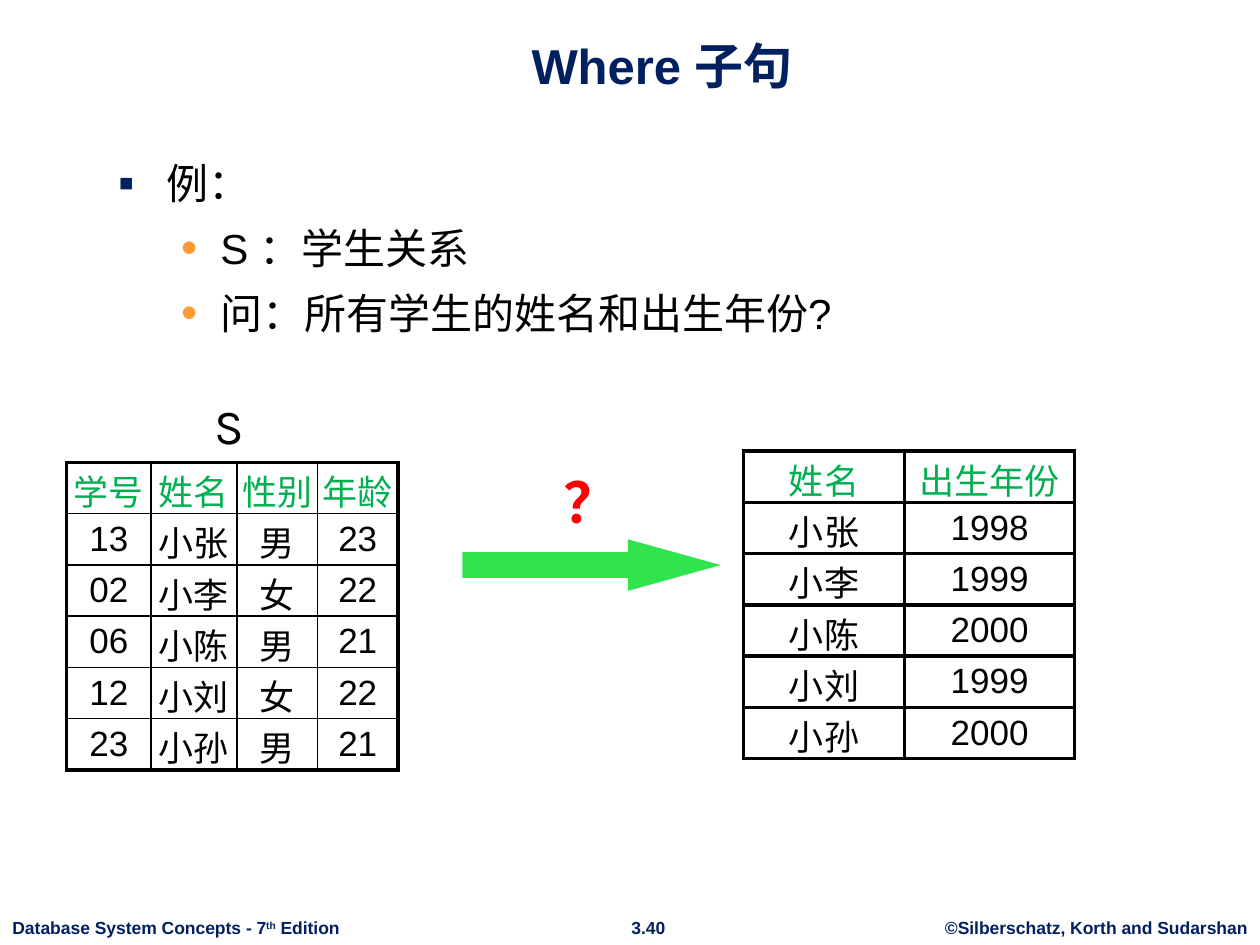
from lxml.etree import SubElement
from pptx import Presentation
from pptx.dml.color import RGBColor
from pptx.enum.shapes import MSO_SHAPE
from pptx.enum.text import MSO_ANCHOR, PP_ALIGN
from pptx.oxml.ns import qn
from pptx.util import Inches, Pt

NAVY = RGBColor(0x00, 0x20, 0x60)
ORANGE = RGBColor(0xFF, 0x99, 0x33)
BLACK = RGBColor(0, 0, 0)
WHITE = RGBColor(0xFF, 0xFF, 0xFF)
HEADER_GREEN = RGBColor(0x00, 0xB0, 0x50)
ARROW_GREEN = RGBColor(0x30, 0xE4, 0x4E)
RED = RGBColor(0xFF, 0, 0)

THIN, THICK = 1, 2.25
ROW_HEIGHT = 0.407

TITLE = "Where 子句"
OUTLINE = [
    (0, "例："),
    (1, "S ：学生关系"),
    (1, "问：所有学生的姓名和出生年份?"),
]
BULLETS = [
    ("▪", NAVY, 0.38, 0.38),
    ("•", ORANGE, 0.81, 0.31),
]
STUDENTS = [
    ("学号", "姓名", "性别", "年龄"),
    ("13", "小张", "男", "23"),
    ("02", "小李", "女", "22"),
    ("06", "小陈", "男", "21"),
    ("12", "小刘", "女", "22"),
    ("23", "小孙", "男", "21"),
]
BIRTH_YEARS = [
    ("姓名", "出生年份"),
    ("小张", "1998"),
    ("小李", "1999"),
    ("小陈", "2000"),
    ("小刘", "1999"),
    ("小孙", "2000"),
]
EDITION = ["Database System Concepts - 7", "th", " Edition"]
FOOTERS = [
    (7.4, 2.6, PP_ALIGN.CENTER, ["©Silberschatz, Korth and Sudarshan"]),
    (4.9, 0.49, PP_ALIGN.CENTER, ["3.40"]),
    (0, 2.81, PP_ALIGN.LEFT, EDITION),
]


def style(font, size, color, bold=False, name="Arial"):
    font.name, font.size, font.bold = name, Pt(size), bold
    font.color.rgb = color


def add_text(slide, box, pieces, size, color, bold=False, name="Arial",
             align=PP_ALIGN.LEFT, wrap=False, anchor=MSO_ANCHOR.TOP):
    frame = slide.shapes.add_textbox(*map(Inches, box)).text_frame
    frame.word_wrap = wrap
    frame.vertical_anchor = anchor
    paragraph = frame.paragraphs[0]
    paragraph.alignment = align
    for piece in pieces:
        run = paragraph.add_run()
        run.text = piece
        style(run.font, size, color, bold, name)
    return paragraph


def add_bullet(paragraph, symbol, color, margin, hanging, spaced):
    props = paragraph._p.get_or_add_pPr()
    props.set("marL", str(Inches(margin)))
    props.set("indent", str(-Inches(hanging)))
    if spaced:
        before = SubElement(props, qn("a:spcBef"))
        SubElement(before, qn("a:spcPct"), val="35000")
    bullet_color = SubElement(props, qn("a:buClr"))
    SubElement(bullet_color, qn("a:srgbClr"), val=str(color))
    SubElement(props, qn("a:buSzPct"), val="110000")
    SubElement(props, qn("a:buFont"), typeface="Arial")
    SubElement(props, qn("a:buChar"), char=symbol)


def add_outline(slide):
    frame = slide.shapes.add_textbox(*map(Inches, (0.84, 1.2, 8.43, 5.36))).text_frame
    frame.text = "\n".join(text for _, text in OUTLINE)
    frame.word_wrap = True
    for index, (paragraph, (level, _)) in enumerate(zip(frame.paragraphs, OUTLINE)):
        paragraph.level = level
        add_bullet(paragraph, *BULLETS[level], spaced=index > 0)
        style(paragraph.runs[0].font, 24, BLACK)


def set_borders(cell, widths):
    props = cell._tc.get_or_add_tcPr()
    for side, width in zip("LRTB", widths):
        line = SubElement(props, qn(f"a:ln{side}"), w=str(Pt(width)))
        fill = SubElement(line, qn("a:solidFill"))
        SubElement(fill, qn("a:srgbClr"), val=str(BLACK))


def add_grid(slide, left, top, widths, rows, inner):
    last_row, last_col = len(rows) - 1, len(widths) - 1
    box = (left, top, sum(widths), ROW_HEIGHT * len(rows))
    table = slide.shapes.add_table(len(rows), len(widths), *map(Inches, box)).table
    table.horz_banding = False
    for column, width in zip(table.columns, widths):
        column.width = Inches(width)
    for r, row in enumerate(rows):
        table.rows[r].height = Inches(ROW_HEIGHT)
        for c, text in enumerate(row):
            cell = table.cell(r, c)
            cell.text = text
            cell.vertical_anchor = MSO_ANCHOR.MIDDLE
            cell.margin_left = cell.margin_right = 0
            cell.margin_top = cell.margin_bottom = Inches(0.02)
            paragraph = cell.text_frame.paragraphs[0]
            paragraph.alignment = PP_ALIGN.CENTER
            style(paragraph.runs[0].font, 20, BLACK if r else HEADER_GREEN)
            outer_edges = (c == 0, c == last_col, r == 0, r == last_row)
            set_borders(cell, [THICK if edge else inner for edge in outer_edges])
            if r:
                cell.fill.background()
            else:
                cell.fill.solid()
                cell.fill.fore_color.rgb = WHITE


def add_arrow(slide):
    arrow = slide.shapes.add_shape(
        MSO_SHAPE.RIGHT_ARROW, *map(Inches, (3.67, 4.28, 2.05, 0.41)))
    arrow.adjustments[0] = 0.5
    arrow.adjustments[1] = 1.8
    arrow.shadow.inherit = False
    arrow.fill.solid()
    arrow.fill.fore_color.rgb = ARROW_GREEN
    arrow.line.fill.background()


def main():
    prs = Presentation()
    prs.slide_width, prs.slide_height = Inches(10), Inches(7.5)
    slide = prs.slides.add_slide(prs.slide_layouts[6])

    for left, width, align, pieces in FOOTERS:
        footer = add_text(slide, (left, 7.23, width, 0.27), pieces, 10, NAVY,
                          bold=True, align=align)
        if pieces is EDITION:
            footer.runs[1].font._element.set("baseline", "30000")

    add_text(slide, (0.84, 0.13, 8.83, 0.67), [TITLE], 28, NAVY, bold=True,
             align=PP_ALIGN.CENTER, wrap=True, anchor=MSO_ANCHOR.BOTTOM)
    add_outline(slide)
    add_text(slide, (1.6, 3.09, 0.42, 0.57), ["S"], 28, BLACK, name="Karla")
    add_grid(slide, 0.53, 3.67, [0.67, 0.68, 0.64, 0.64], STUDENTS, THIN)
    add_grid(slide, 5.9, 3.58, [1.28, 1.35], BIRTH_YEARS, THICK)
    add_arrow(slide)
    question = add_text(slide, (4.37, 3.58, 0.65, 0.65), ["？"], 32, RED, bold=True,
                        name="Karla", align=PP_ALIGN.CENTER)
    question.line_spacing = 1.15

    prs.save("out.pptx")


if __name__ == "__main__":
    main()
